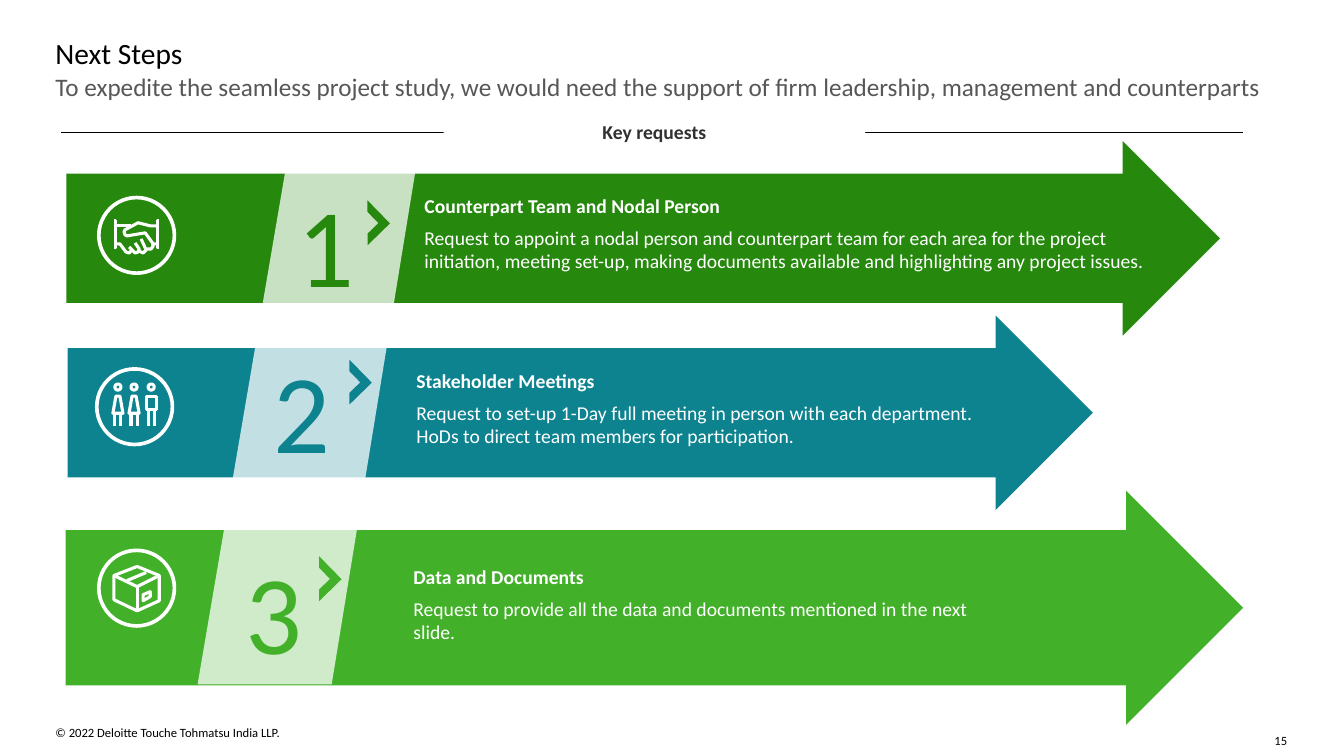
from math import cos, pi, sin

from pptx import Presentation
from pptx.dml.color import RGBColor
from pptx.enum.shapes import MSO_CONNECTOR as CONNECTOR, MSO_SHAPE as SHAPE
from pptx.enum.text import MSO_ANCHOR as ANCHOR, MSO_AUTO_SIZE as AUTO, PP_ALIGN as ALIGN
from pptx.oxml.ns import qn
from pptx.util import Inches, Pt

FRAME = dict(margin_left=0, margin_right=0, margin_top=0, margin_bottom=0,
             word_wrap=True, auto_size=AUTO.NONE)


def hex_color(value):
    return RGBColor.from_string(value)


def set_all(target, values):
    for key, value in values.items():
        setattr(target, key, value)


def inches(*lengths):
    return [Inches(length) for length in lengths]


def write(holder, lines, color, size, bold=(False,), after=0, align=ALIGN.LEFT, **frame):
    text = holder.text_frame
    set_all(text, {**FRAME, **frame})
    for index, line in enumerate(lines):
        paragraph = text.paragraphs[0] if index == 0 else text.add_paragraph()
        set_all(paragraph, dict(text=line, alignment=align, space_before=Pt(0), space_after=Pt(after)))
        font = paragraph.runs[0].font
        set_all(font, dict(name="Calibri", size=Pt(size), bold=bold[index]))
        font.color.rgb = hex_color(color)


def add_text(slide, box, *content, **options):
    write(slide.shapes.add_textbox(*inches(*box)), *content, **options)


def paint(part, color):
    part.shadow.inherit = False
    part.fill.solid()
    part.fill.fore_color.rgb = hex_color(color)
    part.line.fill.background()


def add_filled(slide, kind, box, color, adjustments=()):
    part = slide.shapes.add_shape(kind, *inches(*box))
    paint(part, color)
    for index, value in enumerate(adjustments):
        part.adjustments[index] = value
    return part


def circle(x, y, radius, count=16):
    return [(x + radius * cos(2 * pi * i / count), y + radius * sin(2 * pi * i / count))
            for i in range(count)], True


def woman(x):
    skirt = [(x - 0.02, 0.29), (x + 0.02, 0.29), (x + 0.05, 0.46), (x - 0.05, 0.46)]
    legs = [([(x + dx, 0.46), (x + dx, 0.59)], False) for dx in (-0.03, 0.03)]
    return [circle(x, 0.2, 0.03), (skirt, True), *legs]


def man(x):
    torso = [(x - 0.05, 0.29), (x + 0.05, 0.29), (x + 0.05, 0.42), (x - 0.05, 0.42)]
    legs = [([(x + dx, 0.42), (x + dx, 0.59)], False) for dx in (-0.03, 0.03)]
    return [circle(x, 0.2, 0.03), (torso, True), *legs]


HANDSHAKE = [
    ([(0.17, 0.25), (0.19, 0.25), (0.19, 0.51), (0.17, 0.51)], False),
    ([(0.62, 0.25), (0.6, 0.25), (0.6, 0.51), (0.62, 0.51)], False),
    ([(0.6, 0.3), (0.53, 0.3), (0.41, 0.27), (0.28, 0.34), (0.27, 0.36), (0.28, 0.39),
      (0.3, 0.4), (0.48, 0.37), (0.56, 0.48), (0.6, 0.48)], False),
    ([(0.19, 0.3), (0.34, 0.3)], False),
    ([(0.19, 0.48), (0.23, 0.48), (0.29, 0.56), (0.32, 0.57), (0.35, 0.54), (0.32, 0.51)], False),
    ([(0.35, 0.54), (0.38, 0.57), (0.41, 0.56), (0.42, 0.53), (0.38, 0.47)], False),
    ([(0.42, 0.55), (0.46, 0.57), (0.49, 0.54), (0.44, 0.43)], False),
    ([(0.5, 0.53), (0.54, 0.53), (0.56, 0.5), (0.55, 0.48)], False),
]
PEOPLE = woman(0.23) + woman(0.39) + man(0.56)
PARCEL = [
    ([(0.4, 0.18), (0.62, 0.27), (0.62, 0.52), (0.4, 0.62), (0.17, 0.51), (0.17, 0.27)], True),
    ([(0.17, 0.27), (0.4, 0.38), (0.62, 0.27)], False),
    ([(0.4, 0.38), (0.4, 0.62)], False),
    ([(0.3, 0.32), (0.49, 0.24)], False),
    ([(0.46, 0.46), (0.53, 0.43), (0.53, 0.48), (0.46, 0.52)], True),
]

STEPS = [
    dict(color="26890D", arrow=(0.66, 1.4, 11.44, 1.93), icon=(0.3, 0.54), strokes=HANDSHAKE,
         number=(2.16, 0.34), chevron=(2.83, 0.65), text=(3.55, 0.52, 7.24),
         lines=["Counterpart Team and Nodal Person",
                "Request to appoint a nodal person and counterpart team for each area for the project "
                "initiation, meeting set-up, making documents available and highlighting any project issues."]),
    dict(color="0D8390", arrow=(0.67, 3.13, 10.17, 1.93), icon=(0.27, 0.51), strokes=PEOPLE,
         number=(1.91, 0.26), chevron=(2.64, 0.5), text=(3.46, 0.53, 5.57),
         lines=["Stakeholder Meetings",
                "Request to set-up 1-Day full meeting in person with each department. "
                "HoDs to direct team members for participation."]),
    dict(color="43B02A", arrow=(0.65, 4.87, 11.68, 2.32), icon=(0.31, 0.57), strokes=PARCEL,
         number=(1.65, 0.51), chevron=(2.36, 0.71), text=(3.45, 0.73, 5.57),
         lines=["Data and Documents",
                "Request to provide all the data and documents mentioned in the next slide."]),
]


def outline(part, width):
    part.shadow.inherit = False
    part.fill.background()
    part.line.color.rgb = hex_color("FFFFFF")
    part.line.width = Pt(width)


def add_icon(slide, left, top, strokes):
    outline(slide.shapes.add_shape(SHAPE.OVAL, *inches(left + 0.02, top + 0.02, 0.75, 0.75)), 2.6)
    drawing = None
    for points, closed in strokes:
        start, *rest = [inches(left + x, top + y) for x, y in points]
        if drawing is None:
            drawing = slide.shapes.build_freeform(*start)
        else:
            drawing.move_to(*start)
        drawing.add_line_segments(rest, close=closed)
    outline(drawing.convert_to_shape(), 2.2)


def add_header(slide, left, top, width):
    title, subtitle = slide.placeholders
    set_all(title, dict(zip(("left", "top", "width", "height"), inches(left, top, width, 0.37))))
    set_all(subtitle, dict(zip(("left", "top", "width", "height"), inches(left, top + 0.36, width, 0.83))))
    write(title, ["Next Steps"], "000000", 21, vertical_anchor=ANCHOR.TOP)
    properties = subtitle.text_frame.paragraphs[0]._p.get_or_add_pPr()
    properties.set("marL", "0")
    properties.set("indent", "0")
    properties.append(properties.makeelement(qn("a:buNone"), {}))
    write(subtitle, ["To expedite the seamless project study, we would need the support of firm "
                     "leadership, management and counterparts"],
          "575757", 18, after=10, align=ALIGN.JUSTIFY, vertical_anchor=ANCHOR.TOP)


def add_section_heading(slide, left, middle, width):
    rule = slide.shapes.add_connector(CONNECTOR.STRAIGHT, *inches(left, middle, left + width, middle))
    rule.line.color.rgb = hex_color("000000")
    rule.line.width = Pt(0.75)
    properties = rule._element.spPr
    properties.append(properties.makeelement(qn("a:effectLst"), {}))
    heading = add_filled(slide, SHAPE.RECTANGLE, (left + 3.79, middle - 0.12, 4.18, 0.24), "FFFFFF")
    write(heading, ["Key requests"], "313131", 14, bold=(True,), align=ALIGN.CENTER,
          vertical_anchor=ANCHOR.MIDDLE)


def add_number_band(slide, left, top, width, height):
    corners = [(0, height), (0.88, 0), (width, 0), (1.33, height)]
    start, *rest = [inches(left + x, top + y) for x, y in corners]
    band = slide.shapes.build_freeform(*start).add_line_segments(rest).convert_to_shape()
    paint(band, "FFFFFF")
    fill = band._element.spPr.find(qn("a:solidFill"))[0]
    fill.append(fill.makeelement(qn("a:alpha"), {"val": "75000"}))


def add_step(slide, number, step):
    left, top = step["arrow"][:2]
    chevron_x, chevron_y = step["chevron"]
    number_x, number_y = step["number"]
    icon_x, icon_y = step["icon"]
    text_x, text_y, text_width = step["text"]
    chevron = add_filled(slide, SHAPE.HALF_FRAME, (left + chevron_x, top + chevron_y, 0.31, 0.32),
                         step["color"], (0.266, 0.259))
    chevron.rotation = 135.7
    add_text(slide, (left + number_x, top + number_y, 0.83, 1.35), [str(number)], step["color"], 80,
             align=ALIGN.CENTER)
    add_icon(slide, left + icon_x, top + icon_y, step["strokes"])
    add_text(slide, (left + text_x, top + text_y, text_width, 0.79), step["lines"], "FFFFFF", 14,
             bold=(True, False), after=6)


def add_footer(slide, left, top):
    add_text(slide, (left, top, 5.86, 0.15), ["© 2022 Deloitte Touche Tohmatsu India LLP."], "000000", 9)
    add_text(slide, (left + 12.09, top + 0.08, 0.15, 0.15), ["15"], "000000", 9, word_wrap=False)


def main():
    deck = Presentation()
    deck.slide_width, deck.slide_height = inches(13.33, 7.5)
    slide = deck.slides.add_slide(deck.slide_layouts[1])
    add_header(slide, 0.55, 0.35, 12.24)
    add_section_heading(slide, 0.61, 1.31, 11.72)
    for step in STEPS:
        add_filled(slide, SHAPE.RIGHT_ARROW, step["arrow"], step["color"], (0.664, 0.5))
    add_number_band(slide, 1.96, 1.64, 2.17, 5.15)
    for number, step in enumerate(STEPS, 1):
        add_step(slide, number, step)
    add_footer(slide, 0.55, 7.19)
    deck.save("out.pptx")


if __name__ == "__main__":
    main()
